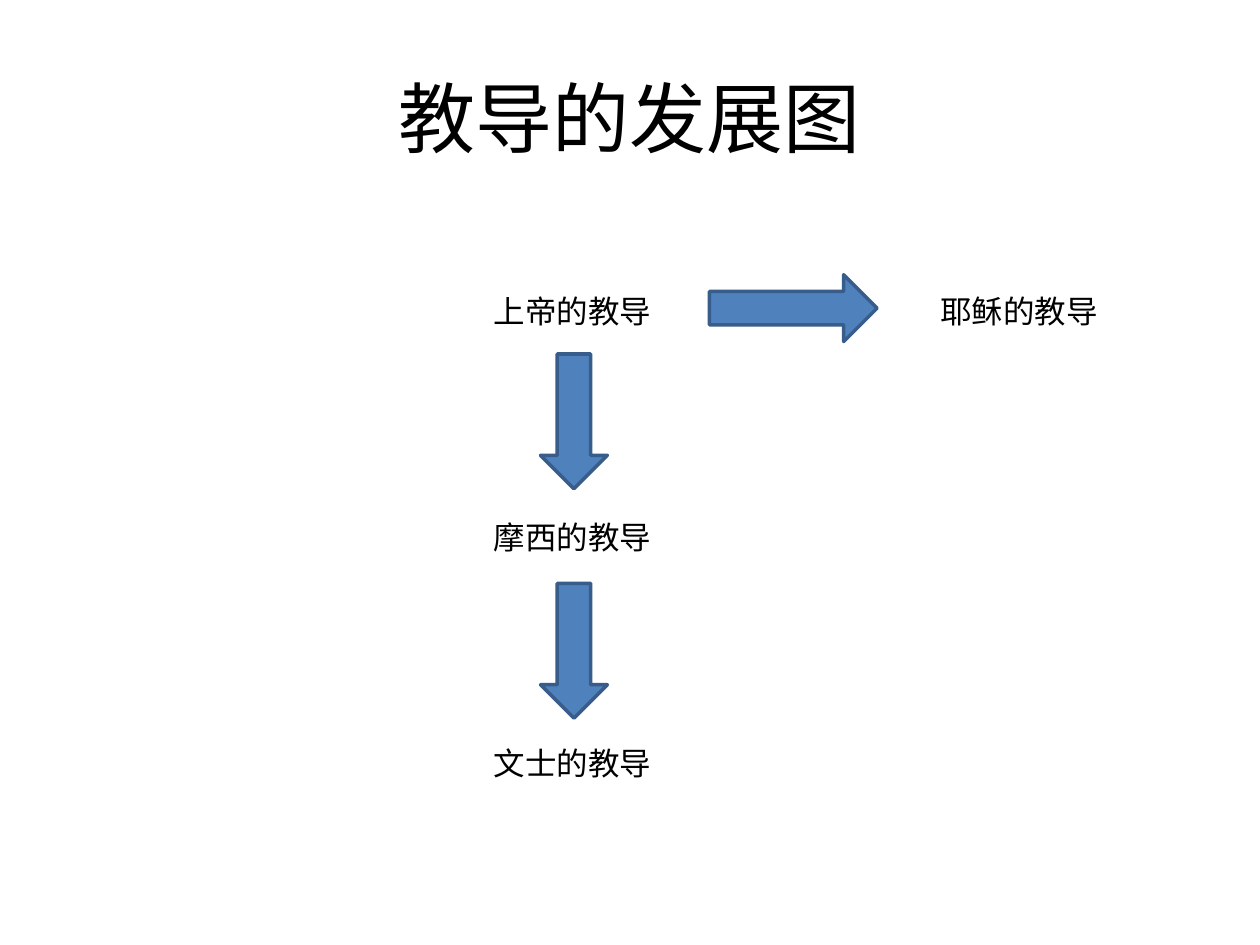
import pptx
import pptx.util
import pptx.dml.color
import pptx.enum.shapes
import pptx.enum.text
from dataclasses import dataclass

Pt = pptx.util.Pt
RGB = pptx.dml.color.RGBColor


@dataclass(frozen=True)
class Theme:
    font: str = "Calibri"
    text: RGB = RGB.from_string("000000")
    fill: RGB = RGB.from_string("4F81BD")
    line: RGB = RGB.from_string("385D8A")
    title_size: int = 44
    label_size: int = 18


theme = Theme()

prs = pptx.Presentation()
prs.slide_width, prs.slide_height = Pt(720), Pt(540)
s = prs.slides.add_slide(prs.slide_layouts[6])


def add_text(text, x, y, w, h, size):
    tf = s.shapes.add_textbox(Pt(x), Pt(y), Pt(w), Pt(h)).text_frame
    tf.word_wrap = True
    tf.text = text
    p = tf.paragraphs[0]
    p.alignment = pptx.enum.text.PP_ALIGN.CENTER
    r = p.runs[0]
    r.font.name = theme.font
    r.font.size = Pt(size)
    r.font.color.rgb = theme.text
    return tf


def add_arrow(x, y, length, rotation=0):
    sp = s.shapes.add_shape(pptx.enum.shapes.MSO_SHAPE.DOWN_ARROW,
                            Pt(x), Pt(y), Pt(38.2), Pt(length))
    sp.rotation = rotation
    sp.shadow.inherit = False
    sp.fill.solid()
    sp.fill.fore_color.rgb = theme.fill
    sp.line.color.rgb = theme.line
    sp.line.width = Pt(2)


# Title
tf = add_text("教导的发展图", 36, 21.6, 648, 90, theme.title_size)
tf.vertical_anchor = pptx.enum.text.MSO_ANCHOR.MIDDLE

# Column of teachings, then the branch to the right of the first
top, step = 163.4, 129.2
labels = [
    ("上帝的教导", 257, top),
    ("摩西的教导", 257, top + step),
    ("文士的教导", 257, top + 2 * step),
    ("耶稣的教导", 512, top),
]
for text, x, y in labels:
    tf = add_text(text, x, y, 140.4, 29, theme.label_size)
    tf.auto_size = pptx.enum.text.MSO_AUTO_SIZE.SHAPE_TO_FIT_TEXT

# Arrows down the column
for y in (202.3, 333.4):
    add_arrow(308.9, y, 77)

# Arrow to the branch, turned to point right
add_arrow(434.2, 128.2, 95.8, rotation=270)

prs.save("out.pptx")
